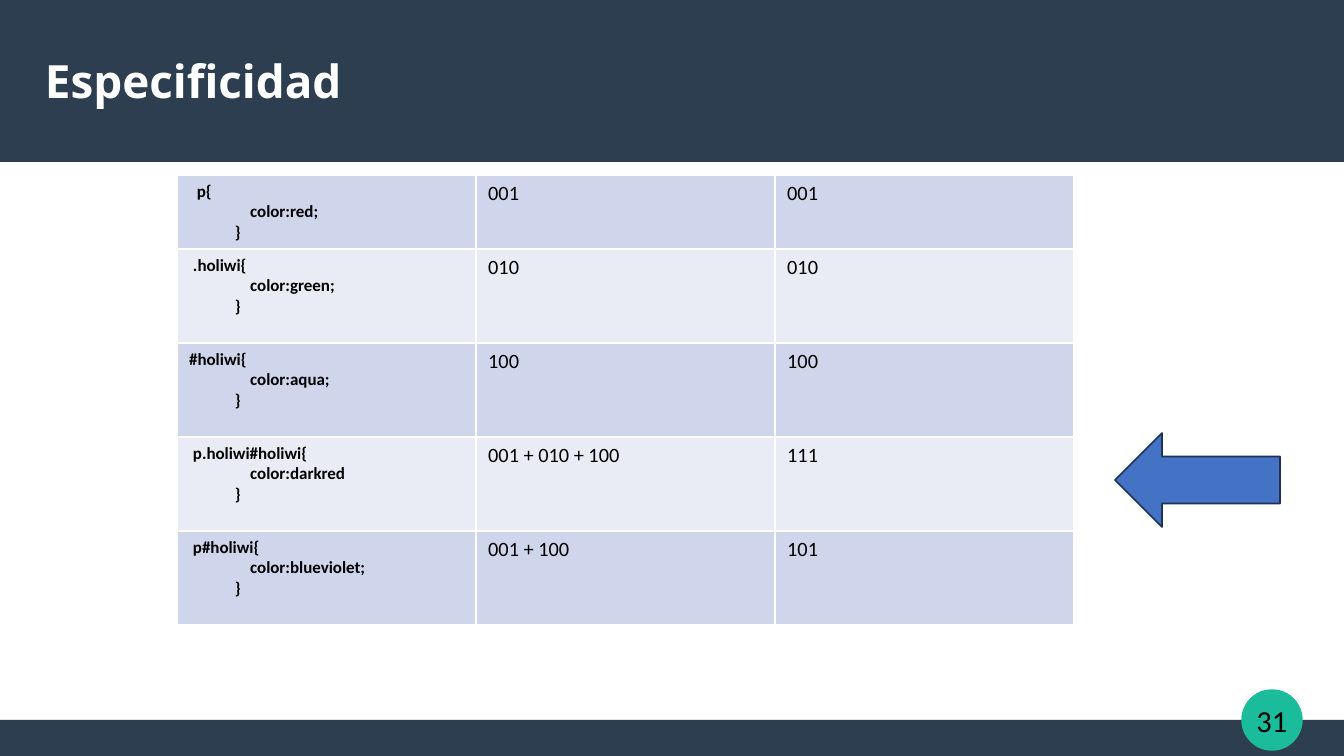
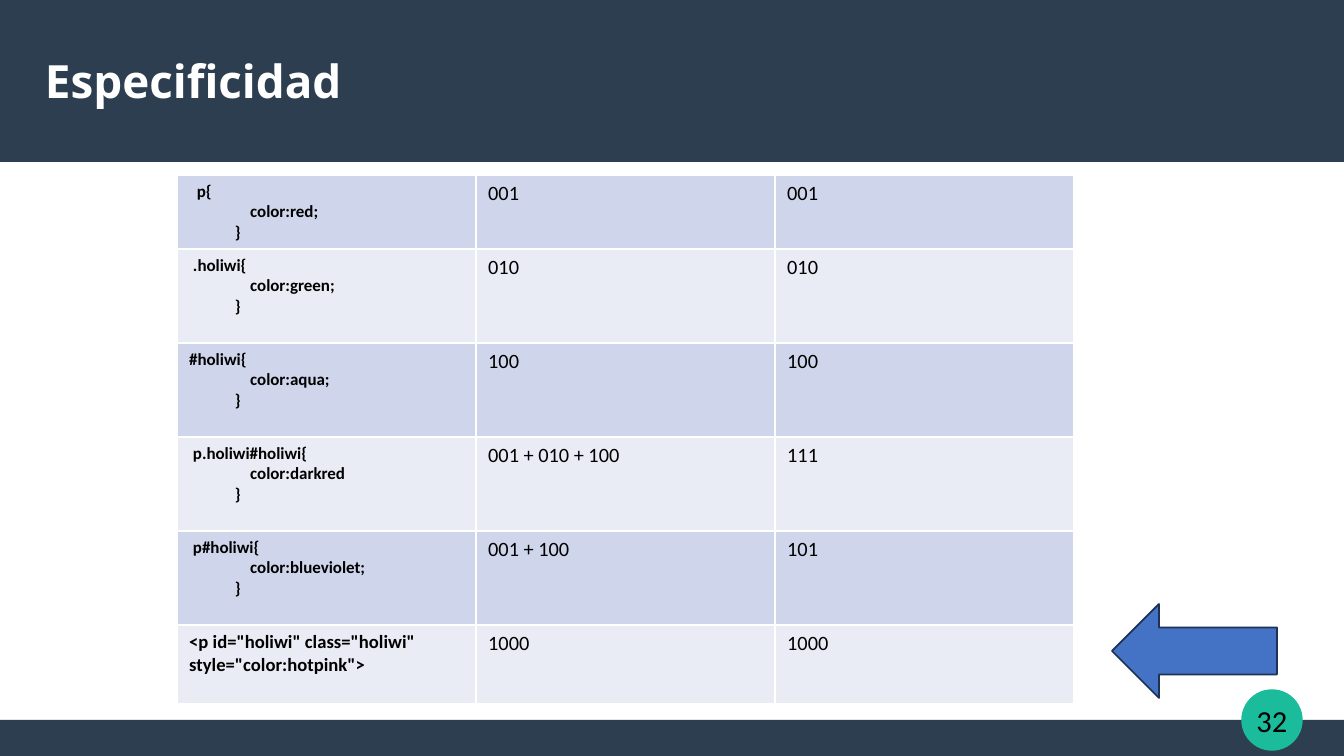
from dataclasses import dataclass

from lxml.etree import SubElement
from pptx import Presentation
from pptx.dml.color import RGBColor as Rgb
from pptx.enum.shapes import MSO_SHAPE as Kind
from pptx.enum.text import MSO_ANCHOR as Anchor, PP_ALIGN as Align
from pptx.oxml.ns import qn
from pptx.shapes.autoshape import Shape
from pptx.slide import Slide
from pptx.table import _Cell as Cell
from pptx.text.text import TextFrame as Frame
from pptx.util import Emu, Pt


@dataclass(frozen=True)
class Theme:
    navy: str = "2C3E50"
    green: str = "1ABC9C"
    white: str = "FFFFFF"
    black: str = "000000"
    bands: tuple[str, str] = ("CFD5EA", "E9EBF5")
    arrow: str = "4472C4"
    edge: str = "1E3256"
    body: str = "Calibri"
    head: str = "Noto Sans"
    title: int = 27
    page: int = 18
    value: int = 12
    tag: int = 11
    code: int = 10


@dataclass(frozen=True)
class Box:
    left: int
    top: int
    width: int
    height: int

    def emu(self) -> tuple[Emu, ...]:
        return tuple(px(n) for n in (self.left, self.top, self.width, self.height))


@dataclass(frozen=True)
class Row:
    code: str
    sum: str
    total: str
    height: int = 94
    size: int = Theme.code


@dataclass(frozen=True)
class Page:
    number: int
    rows: list[Row]
    arrow: Box


THEME = Theme()
WIDE, HIGH = 1344, 756
COLUMN = 299


def px(count: int) -> Emu:
    return Emu(round(count * 914400 / 122))


def rule(name: str, style: str) -> str:
    return f"{name}{{\n{' ' * 16}{style}\n{' ' * 12}}}"


RULES = [
    Row(rule("  p", "color:red;"), "001", "001", 74),
    Row(rule(" .holiwi", "color:green;"), "010", "010"),
    Row(rule("#holiwi", "color:aqua;"), "100", "100"),
    Row(rule(" p.holiwi#holiwi", "color:darkred"), "001 + 010 + 100", "111"),
    Row(rule(" p#holiwi", "color:blueviolet;"), "001 + 100", "101"),
]
INLINE = Row(
    '<p id="holiwi" class="holiwi" style="color:hotpink">',
    "1000", "1000", 79, THEME.tag,
)
PAGES = [
    Page(31, RULES, Box(1115, 433, 165, 94)),
    Page(32, [*RULES, INLINE], Box(1112, 604, 165, 94)),
]


def write(frame: Frame, text: str, *, size: int, font: str = THEME.body,
          color: str = THEME.black, bold: bool = False,
          align: Align = Align.LEFT) -> None:
    frame.word_wrap = True
    for place, line in enumerate(text.split("\n")):
        para = frame.add_paragraph() if place else frame.paragraphs[0]
        para.alignment = align
        run = para.add_run()
        run.text = line
        run.font.size = Pt(size)
        run.font.name = font
        run.font.bold = bold
        run.font.color.rgb = Rgb.from_string(color)


def center(frame: Frame) -> None:
    frame.vertical_anchor = Anchor.MIDDLE
    frame.margin_left = frame.margin_right = 0
    frame.margin_top = frame.margin_bottom = 0


def draw(slide: Slide, kind: Kind, box: Box, fill: str,
         edge: str | None = None, weight: float = 1) -> Shape:
    shape = slide.shapes.add_shape(kind, *box.emu())
    shape.shadow.inherit = False
    shape.fill.solid()
    shape.fill.fore_color.rgb = Rgb.from_string(fill)
    if edge:
        shape.line.color.rgb = Rgb.from_string(edge)
        shape.line.width = Pt(weight)
    else:
        shape.line.fill.background()
    return shape


def base(slide: Slide, title: str, number: int) -> None:
    for band in (Box(0, 720, WIDE, HIGH - 720), Box(0, 0, WIDE, 162)):
        draw(slide, Kind.RECTANGLE, band, THEME.navy)
    badge = draw(slide, Kind.OVAL, Box(1242, 690, 60, 60),
                 THEME.green, THEME.green, 0.85).text_frame
    center(badge)
    write(badge, str(number), size=THEME.page, align=Align.CENTER)
    head = slide.shapes.add_textbox(*Box(45, 32, 1249, 96).emu()).text_frame
    center(head)
    write(head, title, size=THEME.title, font=THEME.head,
          color=THEME.white, bold=True)


def paint(cell: Cell, fill: str) -> None:
    props = cell._tc.get_or_add_tcPr()
    for side in ("lnL", "lnR", "lnT", "lnB"):
        line = SubElement(props, qn(f"a:{side}"), w=str(Pt(1)))
        solid = SubElement(line, qn("a:solidFill"))
        SubElement(solid, qn("a:srgbClr"), val=THEME.white)
    cell.fill.solid()
    cell.fill.fore_color.rgb = Rgb.from_string(fill)


def chart_rules(slide: Slide, rows: list[Row]) -> None:
    box = Box(177, 175, 3 * COLUMN, sum(row.height for row in rows))
    table = slide.shapes.add_table(len(rows), 3, *box.emu()).table
    table.first_row = table.horz_banding = False
    for column in table.columns:
        column.width = px(COLUMN)
    for place, row in enumerate(rows):
        table.rows[place].height = px(row.height)
        for spot, text in enumerate((row.code, row.sum, row.total)):
            cell = table.cell(place, spot)
            paint(cell, THEME.bands[place % 2])
            first = spot == 0
            write(cell.text_frame, text, bold=first,
                  size=row.size if first else THEME.value)


def main() -> None:
    deck = Presentation()
    deck.slide_width, deck.slide_height = px(WIDE), px(HIGH)
    for page in PAGES:
        slide = deck.slides.add_slide(deck.slide_layouts[6])
        base(slide, "Especificidad", page.number)
        chart_rules(slide, page.rows)
        draw(slide, Kind.LEFT_ARROW, page.arrow, THEME.arrow, THEME.edge)
    deck.save("out.pptx")


if __name__ == "__main__":
    main()
